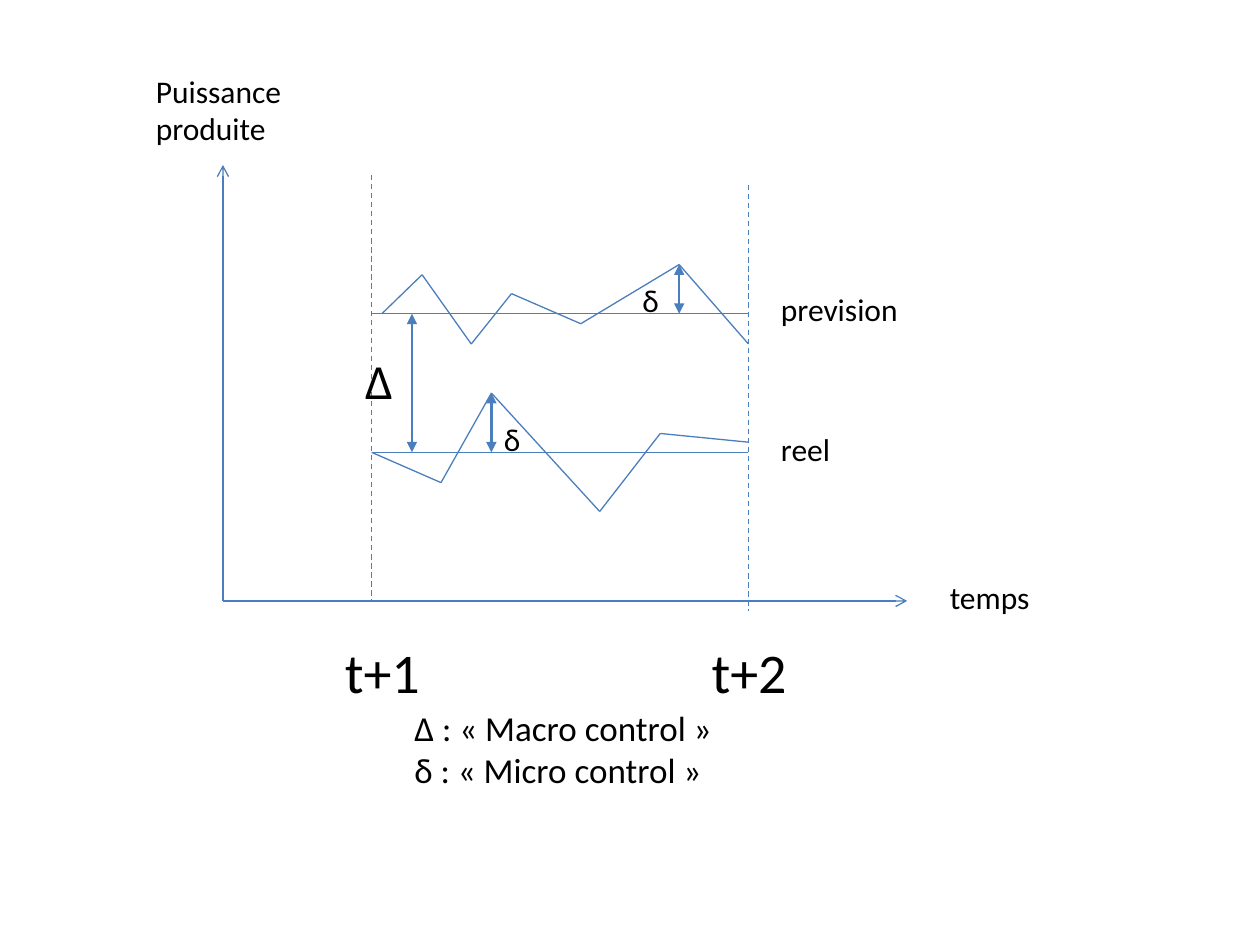
from itertools import pairwise

from lxml import etree
from pptx import Presentation
from pptx.dml.color import RGBColor
from pptx.enum.dml import MSO_LINE
from pptx.enum.shapes import MSO_CONNECTOR
from pptx.enum.text import MSO_AUTO_SIZE
from pptx.oxml.ns import qn
from pptx.util import Pt

STRAIGHT = MSO_CONNECTOR.STRAIGHT
DASH = MSO_LINE.DASH
GROW = MSO_AUTO_SIZE.SHAPE_TO_FIT_TEXT
BLANK_LAYOUT = 6

COLORS = {"line": "4B7EBC", "text": "000000"}
FONT = "Calibri"

# Key positions of the diagram, in points
ORIGIN = (127.4, 343.4)
POWER_TOP, TIME_END = 94.3, 518.4
T1, T2 = 212.4, 427.7
FORECAST_MEAN, REAL_MEAN = 179.3, 258.5
FORECAST_PEAK, REAL_PEAK = (388.1, 151.2), (280.8, 224.6)
MACRO_X = 235.4

AXES = [(ORIGIN, (ORIGIN[0], POWER_TOP)), (ORIGIN, (TIME_END, ORIGIN[1]))]
TIME_MARKS = [((T1, 100.1), (T1, ORIGIN[1])), ((T2, 105.8), (T2, 349.2))]
MEANS = [((T1, y), (T2, y)) for y in (FORECAST_MEAN, REAL_MEAN)]
CURVES = [
    [(218.2, FORECAST_MEAN), (241.2, 157), (269.3, 196.6), (292.3, 167.8),
     (331.9, 185), FORECAST_PEAK, (T2, 196.6)],
    [(T1, REAL_MEAN), (252, 275.8), REAL_PEAK, (342.7, 292.3),
     (377.3, 247.7), (T2, 252.7)],
]
GAPS = [
    ((MACRO_X, FORECAST_MEAN), (MACRO_X, REAL_MEAN)),
    (REAL_PEAK, (REAL_PEAK[0], REAL_MEAN)),
    (FORECAST_PEAK, (FORECAST_PEAK[0], FORECAST_MEAN)),
]

# Paragraphs, font size, (left, top, width, height)
LABELS = [
    (["t+1"], 32, (190, 360.8, 62.6, 46)),
    (["t+2"], 32, (399.6, 360.8, 67.7, 46)),
    (["prevision"], 18, (439.2, 162, 113, 29)),
    (["reel"], 18, (439.2, 242, 67.7, 29)),
    (["Δ"], 28, (201.6, 196.6, 39.6, 41)),
    (["δ"], 18, (280.8, 236.2, 39.6, 29)),
    (["δ"], 18, (360, 157, 28, 29)),
    (["Δ : «\u00a0Macro control\u00a0»", "δ : «\u00a0Micro control\u00a0»"],
     20, (229.7, 400.3, 209.5, 55.4)),
    (["temps"], 18, (535.7, 326.9, 67.7, 29)),
    (["Puissance produite"], 18, (82, 37.4, 113, 51)),
]


def add_line(shapes, start, end, width=0.75, dash=None, head=None, tail=None):
    """Draw a straight line with optional dash and arrowheads."""
    connector = shapes.add_connector(
        STRAIGHT, *(Pt(value) for value in (*start, *end)))
    line = connector.line
    line.color.rgb = RGBColor.from_string(COLORS["line"])
    line.width = Pt(width)
    if dash is not None:
        line.dash_style = dash
    properties = connector._element.spPr
    outline = properties.find(qn("a:ln"))
    for tag, arrow in (("a:headEnd", head), ("a:tailEnd", tail)):
        if arrow:
            etree.SubElement(outline, qn(tag)).set("type", arrow)
    etree.SubElement(properties, qn("a:effectLst"))


def add_label(shapes, paragraphs, size, box):
    """Place a text box holding the given paragraphs."""
    frame = shapes.add_textbox(*(Pt(value) for value in box)).text_frame
    frame.word_wrap = True
    frame.auto_size = GROW
    frame.text = "\n".join(paragraphs)
    text_format = {"name": FONT, "size": Pt(size)}
    for paragraph in frame.paragraphs:
        font = paragraph.runs[0].font
        for attribute, value in text_format.items():
            setattr(font, attribute, value)
        font.color.rgb = RGBColor.from_string(COLORS["text"])


def main():
    """Build the power forecast diagram and save it."""
    deck = Presentation()
    deck.slide_width, deck.slide_height = Pt(720), Pt(540)
    shapes = deck.slides.add_slide(deck.slide_layouts[BLANK_LAYOUT]).shapes

    segments = [pair for curve in CURVES for pair in pairwise(curve)]
    line_groups = [
        (AXES, {"tail": "arrow"}),
        (TIME_MARKS, {"dash": DASH}),
        (MEANS + segments, {}),
        (GAPS, {"width": 1.5, "head": "triangle", "tail": "triangle"}),
    ]
    for lines, style in line_groups:
        for start, end in lines:
            add_line(shapes, start, end, **style)
    for label in LABELS:
        add_label(shapes, *label)

    deck.save("out.pptx")


main()
